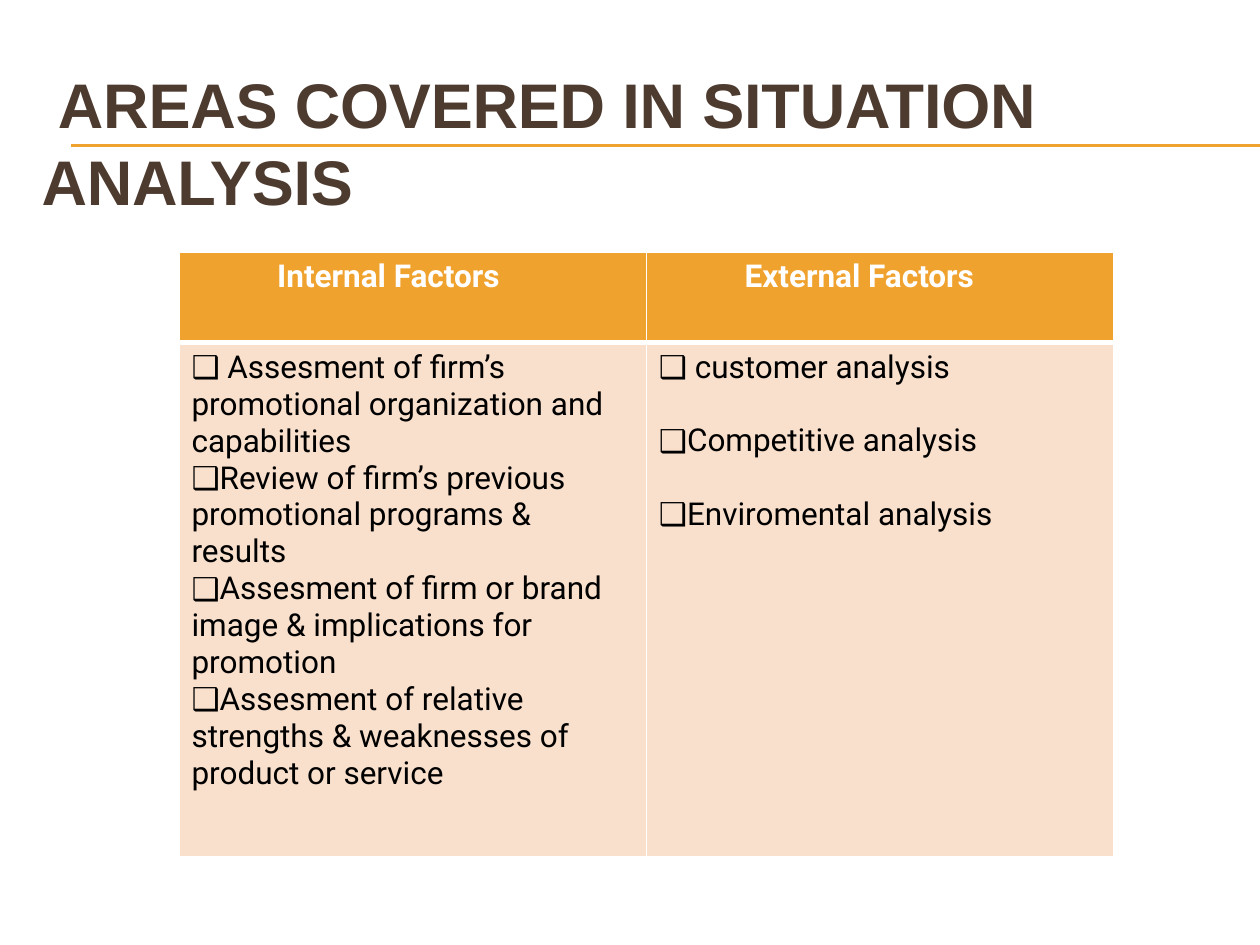
from lxml import etree
from pptx import Presentation, util as u
from pptx.dml.color import RGBColor
from pptx.enum import shapes, text
from pptx.oxml import ns

ORANGE = RGBColor(0xF0, 0xA2, 0x2E)
PEACH = RGBColor(0xF9, 0xE0, 0xCD)
BROWN = RGBColor(0x4E, 0x3B, 0x30)
WHITE = RGBColor(0xFF, 0xFF, 0xFF)
BLACK = RGBColor(0, 0, 0)

FACTORS = {
    "Internal Factors": [
        " Assesment of firm’s promotional organization and capabilities",
        "Review of firm’s previous promotional programs & results",
        "Assesment of firm or brand image & implications for promotion",
        "Assesment of relative strengths & weaknesses of product or service",
    ],
    "External Factors": [
        " customer analysis",
        "Competitive analysis",
        "Enviromental analysis",
    ],
}
ITEM_GAPS = [0, 21]


def format_run(run, name, size, color, bold):
    """Set the font of one run."""
    run.font.name, run.font.size = name, u.Pt(size)
    run.font.color.rgb, run.font.bold = color, bold


def format_cell(cell, fill, borders):
    """Fill a cell and give it white borders, with widths in points by side."""
    cell.fill.solid()
    cell.fill.fore_color.rgb = fill
    properties = cell._tc.get_or_add_tcPr()
    for index, side in enumerate("LRTB"):
        line = etree.Element(ns.qn(f"a:ln{side}"), w=str(u.Pt(borders[side])))
        solid = etree.SubElement(line, ns.qn("a:solidFill"))
        etree.SubElement(solid, ns.qn("a:srgbClr"), val=str(WHITE))
        properties.insert(index, line)


presentation = Presentation()
presentation.slide_width, presentation.slide_height = u.Inches(10), u.Inches(7.5)
slide = presentation.slides.add_slide(presentation.slide_layouts[6])

# Rule across the title
for y in (1.15, 1.16):
    rule = slide.shapes.add_connector(
        shapes.MSO_CONNECTOR.STRAIGHT,
        u.Inches(0.56), u.Inches(y), u.Inches(10), u.Inches(y))
    rule.line.color.rgb = ORANGE
    rule.line.width = u.Pt(0.75)
    etree.SubElement(rule._element.spPr, ns.qn("a:effectLst"))

# Title
title = slide.shapes.add_textbox(
    u.Inches(0.33), u.Inches(-0.1), u.Inches(8.92), u.Inches(1.83))
frame = title.text_frame
frame.word_wrap = True
frame.vertical_anchor = text.MSO_ANCHOR.BOTTOM
frame.margin_left = frame.margin_right = frame.margin_top = frame.margin_bottom = 0
frame.text = "AREAS COVERED IN SITUATION ANALYSIS"
paragraph = frame.paragraphs[0]
paragraph.line_spacing = u.Pt(44)
paragraph._p.get_or_add_pPr().set("indent", str(u.Inches(0.13)))
format_run(paragraph.runs[0], "Arial", 36, BROWN, True)
paragraph.runs[0].font._element.set("spc", "-10")

# Table of factors
table = slide.shapes.add_table(
    2, len(FACTORS), u.Inches(1.42), u.Inches(2), u.Inches(7.42), u.Inches(4.8)).table
table.rows[0].height, table.rows[1].height = u.Inches(0.72), u.Inches(4.08)

for column, (heading, items) in enumerate(FACTORS.items()):
    header = table.cell(0, column)
    format_cell(header, ORANGE, {"L": 1, "R": 1, "T": 1, "B": 3})
    header.margin_left = u.Inches(0.78)
    header.text_frame.text = heading
    format_run(header.text_frame.paragraphs[0].runs[0], "Roboto", 18, WHITE, True)

    body = table.cell(1, column)
    format_cell(body, PEACH, {"L": 1, "R": 1, "T": 3, "B": 1})
    body.text_frame.text = "\n".join(items)
    for index, paragraph in enumerate(body.text_frame.paragraphs):
        paragraph.space_before = u.Pt(ITEM_GAPS[column] if index else 0)
        properties = paragraph._p.get_or_add_pPr()
        properties.set("marL", "0")
        properties.set("indent", "0")
        etree.SubElement(properties, ns.qn("a:buFont"), typeface="Arial")
        etree.SubElement(properties, ns.qn("a:buChar"), char="❑")
        format_run(paragraph.runs[0], "Roboto", 18, BLACK, False)

presentation.save("out.pptx")
